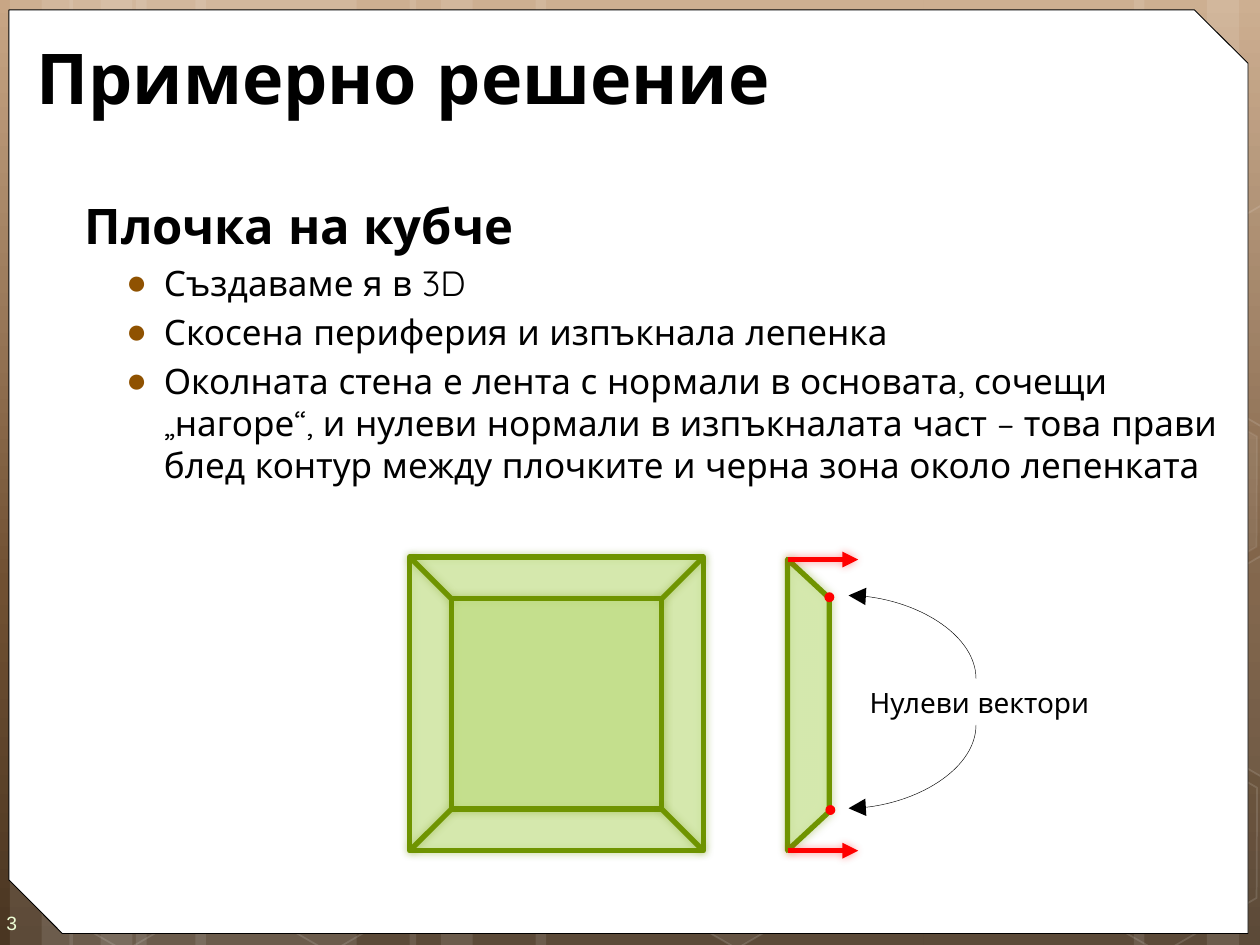
from lxml import etree
from copy import deepcopy
from pptx import Presentation
from pptx.dml.color import RGBColor
from pptx.enum.shapes import MSO_CONNECTOR, MSO_SHAPE
from pptx.enum.text import MSO_ANCHOR, MSO_AUTO_SIZE, PP_ALIGN
from pptx.oxml.ns import qn
from pptx.util import Cm, Pt

RECTANGLE, HEXAGON, OVAL = MSO_SHAPE.RECTANGLE, MSO_SHAPE.HEXAGON, MSO_SHAPE.OVAL
TRAPEZOID, CARD = MSO_SHAPE.TRAPEZOID, MSO_SHAPE.SNIP_2_DIAG_RECTANGLE
STRAIGHT, CURVE = MSO_CONNECTOR.STRAIGHT, MSO_CONNECTOR.CURVE
MIDDLE, TOP, LEFT = MSO_ANCHOR.MIDDLE, MSO_ANCHOR.TOP, PP_ALIGN.LEFT
NO_AUTOFIT = MSO_AUTO_SIZE.NONE

WHITE = RGBColor(0xFF, 0xFF, 0xFF)
BLACK = RGBColor(0, 0, 0)
RED = RGBColor(0xFF, 0, 0)
GREEN = RGBColor(0x6F, 0x94, 0)
LIGHT_GREEN = RGBColor(0xC9, 0xE8, 0x90)
PALE = RGBColor(0xEE, 0xFF, 0xD6)
BULLET = RGBColor(0x8F, 0x52, 0x01)
GRADIENT = [(0, RGBColor(0xC8, 0xA6, 0x85)), (0.62, RGBColor(0x70, 0x50, 0x32)),
            (1, RGBColor(0x4A, 0x36, 0x22))]
FONT = "Quicksand"


def style(shape, line=None, width=0, line_alpha=100, fill=None, fill_alpha=100, glow=False, arrow=None):
    properties = shape.element.spPr
    if fill is not None:
        shape.fill.solid()
        shape.fill.fore_color.rgb = fill
        color = properties.find(qn("a:solidFill")).find(qn("a:srgbClr"))
        etree.SubElement(color, qn("a:alpha"), val=str(fill_alpha * 1000))
    elif hasattr(shape, "fill"):
        shape.fill.background()
    if line is None:
        shape.line.fill.background()
    else:
        shape.line.color.rgb = line
        shape.line.width = Pt(width)
        outline = properties.find(qn("a:ln"))
        color = outline.find(qn("a:solidFill")).find(qn("a:srgbClr"))
        etree.SubElement(color, qn("a:alpha"), val=str(line_alpha * 1000))
        if arrow:
            etree.SubElement(outline, qn("a:tailEnd"), type="triangle", w=arrow, len=arrow)
    effects = etree.SubElement(properties, qn("a:effectLst"))
    if glow:
        shadow = etree.SubElement(effects, qn("a:outerShdw"), blurRad=str(Pt(5)), dist="0", dir="0")
        color = etree.SubElement(shadow, qn("a:srgbClr"), val=str(line))
        etree.SubElement(color, qn("a:alpha"), val="40000")


def add_text(paragraph, text, size, color, font=FONT, bold=False):
    run = paragraph.add_run()
    run.text = text
    run.font.size = Pt(size)
    run.font.name = font
    run.font.bold = bold
    run.font.color.rgb = color


presentation = Presentation()
presentation.slide_width, presentation.slide_height = Cm(25.4), Cm(19.05)
slide = presentation.slides.add_slide(presentation.slide_layouts[1])
shapes = slide.shapes
title, body = shapes.title, slide.placeholders[1]

background = slide.background.fill
background.gradient()
background.gradient_angle = 270
stop_list = next(slide.element.iter(qn("a:gsLst")))
stop_list.append(deepcopy(stop_list[-1]))
for stop, (position, color) in zip(background.gradient_stops, GRADIENT):
    stop.position = position
    stop.color.rgb = color

bands = [(2.74, 4.45), (0.2, 1.27), (0.84, 2.12), (3.94, 4.45), (1.4, 1.27), (2.03, 2.12),
         (18.62, 4.45), (24.33, 1.07), (22.86, 2.12), (10.8, 7.82), (8.26, 1.27), (8.89, 2.12)]
for left, width in bands:
    band = shapes.add_shape(RECTANGLE, Cm(left), 0, Cm(width), presentation.slide_height)
    style(band, fill=WHITE, fill_alpha=10)

hexagons = [(0.28, 15.01, 0, 12), (4.42, 15.04, 0, 12), (12.62, 14.96, 6, 12),
            (21.18, 15.06, 0, 12), (21.18, 7.98, 7, 8)]
for left, top, fill_alpha, line_alpha in hexagons:
    hexagon = shapes.add_shape(HEXAGON, Cm(left), Cm(top), Cm(4.45), Cm(3.86))
    hexagon.adjustments[0] = 0.285
    hexagon.rotation = 30
    style(hexagon, WHITE, 1, line_alpha, WHITE if fill_alpha else None, fill_alpha)

edge_points = [(23.52, 5.26), (25.43, 4.14), (25.65, 4.27), (25.63, 8.51), (25.45, 8.61), (23.52, 7.49)]
for drop, fill in ((0, None), (7.06, WHITE)):
    points = [(Cm(x), Cm(y + drop)) for x, y in edge_points]
    builder = shapes.build_freeform(*points[0])
    builder.add_line_segments(points[1:])
    style(builder.convert_to_shape(), WHITE, 1, 12, fill, 4)

card = shapes.add_shape(CARD, Cm(0.18), Cm(0.2), Cm(24.98), Cm(18.62))
card.adjustments[0], card.adjustments[1] = 0, 0.058
style(card, BLACK, 0.5, fill=WHITE)

number = shapes.add_textbox(0, Cm(18.03), Cm(1.47), Cm(1.02)).text_frame
number.word_wrap = True
number.vertical_anchor = MIDDLE
number.margin_left, number.margin_top = Cm(0.13), Cm(0.38)
number.margin_right, number.margin_bottom = 0, Cm(0.25)
add_text(number.paragraphs[0], "3", 11, PALE, "Arial")

title.left, title.top, title.width, title.height = Cm(0.48), Cm(0.64), Cm(24.05), Cm(1.8)
body.left, body.top, body.width, body.height = Cm(1.27), Cm(3.81), Cm(23.93), Cm(15.04)
for placeholder, anchor in ((title, MIDDLE), (body, TOP)):
    shapes._spTree.append(placeholder.element)
    placeholder.text_frame.auto_size = NO_AUTOFIT
    placeholder.text_frame.vertical_anchor = anchor
title.text_frame.paragraphs[0].alignment = LEFT
add_text(title.text_frame.paragraphs[0], "Примерно решение", 40, BLACK, bold=True)

heading = body.text_frame.paragraphs[0]
heading_properties = heading._p.get_or_add_pPr()
heading_properties.set("marL", str(Cm(0.18)))
heading_properties.set("indent", "0")
etree.SubElement(heading_properties, qn("a:buNone"))
heading.space_before = Pt(0)
add_text(heading, "Плочка на кубче", 28, BLACK, bold=True)

items = [
    "Създаваме я в 3D",
    "Скосена периферия и изпъкнала лепенка",
    "Околната стена е лента с нормали в основата, сочещи „нагоре“, и нулеви нормали "
    "в изпъкналата част – това прави блед контур между плочките и черна зона около лепенката",
]
for item in items:
    paragraph = body.text_frame.add_paragraph()
    paragraph.level = 1
    properties = paragraph._p.get_or_add_pPr()
    properties.set("marL", str(Cm(1.78)))
    properties.set("indent", str(Cm(-0.76)))
    bullet_color = etree.SubElement(properties, qn("a:buClr"))
    etree.SubElement(bullet_color, qn("a:srgbClr"), val=str(BULLET))
    etree.SubElement(properties, qn("a:buFont"), typeface="Arial")
    etree.SubElement(properties, qn("a:buChar"), char="●")
    paragraph.space_before = Pt(4)
    add_text(paragraph, item, 20, BLACK)

tile_left, tile_top, tile_size, bevel = 8.26, 11.23, 5.92, 0.84
for inset in (0, bevel):
    side = Cm(tile_size - 2 * inset)
    square = shapes.add_shape(RECTANGLE, Cm(tile_left + inset), Cm(tile_top + inset), side, side)
    style(square, GREEN, 3, fill=LIGHT_GREEN, fill_alpha=50, glow=True)
for x, x_step in ((tile_left, bevel), (tile_left + tile_size, -bevel)):
    for y, y_step in ((tile_top, bevel), (tile_top + tile_size, -bevel)):
        edge = shapes.add_connector(STRAIGHT, Cm(x), Cm(y), Cm(x + x_step), Cm(y + y_step))
        style(edge, GREEN, 3, glow=True)

profile = shapes.add_shape(TRAPEZOID, Cm(13.36), Cm(13.79), Cm(5.87), Cm(bevel))
profile.adjustments[0] = 0.929
profile.rotation = 90
style(profile, GREEN, 3, fill=LIGHT_GREEN, fill_alpha=50, glow=True)
for y in (11.28, 17.15):
    normal = shapes.add_connector(STRAIGHT, Cm(15.88), Cm(y), Cm(17.3), Cm(y))
    style(normal, RED, 3, glow=True, arrow="med")
for left, top in ((16.64, 16.23), (16.62, 11.94)):
    dot = shapes.add_shape(OVAL, Cm(left), Cm(top), Cm(0.2), Cm(0.2))
    style(dot, fill=RED)

label = shapes.add_textbox(Cm(17.1), Cm(13.69), Cm(5.13), Cm(0.94)).text_frame
label.word_wrap = True
label.paragraphs[0]._p.get_or_add_pPr().set("marL", str(Cm(0.18)))
add_text(label.paragraphs[0], "Нулеви вектори", 16, BLACK)

for top, angle, flip in ((11.56, 270, "1"), (14.17, 90, "0")):
    curve = shapes.add_connector(CURVE, Cm(17.55), Cm(top), Cm(19.23), Cm(top + 2.57))
    frame = curve.element.spPr.find(qn("a:xfrm"))
    frame.set("rot", str(angle * 60000))
    frame.set("flipV", flip)
    curve.element.spPr.find(qn("a:prstGeom")).set("prst", "curvedConnector2")
    style(curve, BLACK, 0.25, arrow="lg")

presentation.save("out.pptx")
